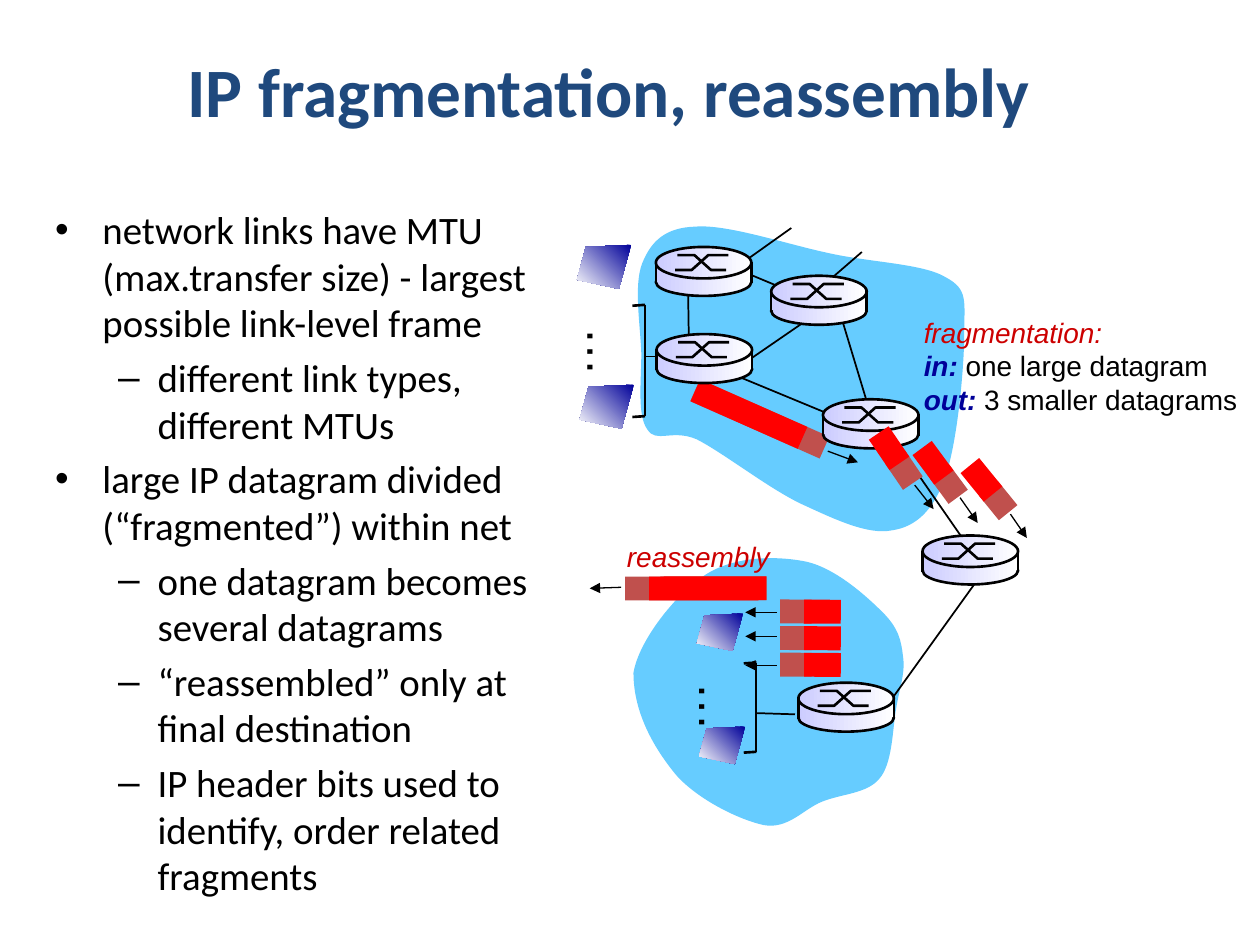
from math import cos, radians, sin

from lxml.etree import SubElement
from pptx import Presentation
from pptx.dml.color import RGBColor
from pptx.enum.shapes import MSO_CONNECTOR, MSO_SHAPE
from pptx.enum.text import MSO_ANCHOR, PP_ALIGN
from pptx.oxml.ns import qn
from pptx.util import Pt

BLACK = RGBColor(0x00, 0x00, 0x00)
WHITE = RGBColor(0xFF, 0xFF, 0xFF)
TITLE_BLUE = RGBColor(0x1F, 0x49, 0x7D)
CLOUD_BLUE = RGBColor(0x66, 0xCC, 0xFF)
NAVY = RGBColor(0x00, 0x00, 0x99)
LILAC = RGBColor(0xCC, 0xCC, 0xFF)
LABEL_RED = RGBColor(0xCC, 0x00, 0x00)
HEADER_RED = RGBColor(0xC0, 0x50, 0x4D)
PAYLOAD_RED = RGBColor(0xFF, 0x00, 0x00)

BULLETS = [
    (0, "network links have MTU (max.transfer size) - largest possible link-level frame"),
    (1, "different link types, different MTUs"),
    (0, "large IP datagram divided (“fragmented”) within net"),
    (1, "one datagram becomes several datagrams"),
    (1, "“reassembled” only at final destination"),
    (1, "IP header bits used to identify, order related fragments"),
]
# Clouds: start point, then control, control, end of each curve
UPPER_CLOUD = [
    (397.5, 129.5), (380, 130), (372, 138), (367, 150.5), (362, 163), (366, 186.5),
    (366.5, 202), (366.5, 218), (364, 237.5), (370, 245.5), (375, 253.5), (384, 245),
    (398, 251), (413, 258.5), (439, 279), (458, 288), (476.5, 296.5), (496, 306),
    (510, 303), (523.5, 301), (533.5, 291.5), (540, 273), (547, 254), (551, 210),
    (551, 191.5), (551, 172), (553.5, 165.5), (540.5, 158.5), (527.5, 150.5),
    (497, 150), (473, 144.5), (449.5, 139.5), (415.5, 128), (397.5, 129.5),
]
LOWER_CLOUD = [
    (362, 384.5), (365, 366), (386.5, 339), (403, 328.5), (420, 317.5), (444, 317.5),
    (461, 321), (478, 325), (495.5, 341), (504.5, 350), (513.5, 359), (515, 366),
    (516, 375), (517.5, 384.5), (514, 393), (512, 405.5), (510, 417), (510, 436.5),
    (502.5, 445), (495.5, 453.5), (481.5, 453.5), (470, 458), (459.5, 462),
    (450.5, 474), (436.5, 471.5), (422.5, 468.5), (399, 457), (386.5, 443),
    (374.5, 428.5), (362, 408), (362, 384.5),
]
LINKS = [
    (368, 203.8, 378, 203.8), (413.3, 150.5, 465.1, 172.1), (479.5, 177.1, 495.4, 229.7),
    (393.1, 159.1, 393.8, 205.2), (411.8, 211, 488.2, 242.6), (549.4, 306.7, 511.9, 252.7),
    (473.8, 174.2, 414, 215.3), (452.2, 130.3, 414.7, 157), (492.5, 144, 470.9, 162.7),
    (558.7, 331.2, 509, 400.3), (432, 407.5, 454.3, 408.2),
]
UPPER_ROUTERS = [(470.3, 228.2), (374.8, 141.1), (375.2, 190.9), (440.7, 157.6)]
LOWER_ROUTERS = [(527.2, 306), (456.2, 390.1)]
# Fragments: header centre and angle, then arrow ends
FRAGMENTS = [
    ((516.6, 268.7, 55.8), (522.7, 277.2, 533.5, 290.9)),
    ((542.2, 276.7, 53.6), (548.6, 284.4, 558.7, 298.8)),
    ((570.4, 286, 50.9), (577.4, 293.8, 586.8, 307.4)),
]
SMALL = dict(head_w=18, body_w=21, gap=15.2)
LARGE = dict(head_w=80.9, body_w=67, gap=6.8)


def add_run(p, text, size=16, color=BLACK, font="Arial", bold=False, italic=False):
    r = p.add_run()
    r.text = text
    r.font.name, r.font.size, r.font.color.rgb = font, Pt(size), color
    r.font.bold, r.font.italic = bold, italic


def text_box(s, x, y, w, h, wrap=False):
    sp = s.shapes.add_textbox(Pt(x), Pt(y), Pt(w), Pt(h))
    sp.text_frame.word_wrap = wrap
    return sp


def line(s, x1, y1, x2, y2, width=1.0, arrow=False):
    c = s.shapes.add_connector(MSO_CONNECTOR.STRAIGHT, Pt(x1), Pt(y1), Pt(x2), Pt(y2))
    c.line.color.rgb, c.line.width = BLACK, Pt(width)
    if arrow:
        SubElement(c.line._get_or_add_ln(), qn("a:tailEnd"), type="triangle")
    SubElement(c._element.spPr, qn("a:effectLst"))


def paint(sp, fill=None, gradient=None, angle=0, outline=None):
    sp.shadow.inherit = False
    if gradient:
        sp.fill.gradient()
        sp.fill.gradient_angle = angle
        for stop, color in zip(sp.fill.gradient_stops, gradient):
            stop.color.rgb = color
    elif fill:
        sp.fill.solid()
        sp.fill.fore_color.rgb = fill
    else:
        sp.fill.background()
    if outline:
        sp.line.color.rgb, sp.line.width = BLACK, Pt(outline)
    else:
        sp.line.fill.background()


def preset(s, kind, x, y, w, h, **style):
    sp = s.shapes.add_shape(kind, Pt(x), Pt(y), Pt(w), Pt(h))
    paint(sp, **style)
    return sp


def outline(s, points, close=True, **style):
    pts = [(Pt(x), Pt(y)) for x, y in points]
    fb = s.shapes.build_freeform(*pts[0])
    fb.add_line_segments(pts[1:], close=close)
    sp = fb.convert_to_shape()
    paint(sp, **style)
    return sp


def cloud(s, points):
    sp = outline(s, points, fill=CLOUD_BLUE)
    # Join each three segments into one Bezier curve
    segments = list(sp._element.iter(qn("a:lnTo")))
    outline_path = segments[0].getparent()
    close = outline_path.find(qn("a:close"))
    for i in range(0, len(points) - 1, 3):
        curve = SubElement(outline_path, qn("a:cubicBezTo"))
        for segment in segments[i:i + 3]:
            curve.append(segment[0])
            outline_path.remove(segment)
    outline_path.append(close)


def router(s, x, y):
    shade, w = (LILAC, WHITE), 54.6
    preset(s, MSO_SHAPE.OVAL, x, y + 12.2, w, 15.8, gradient=shade, outline=1.5)
    preset(s, MSO_SHAPE.RECTANGLE, x, y + 10.4, w, 9.4, gradient=shade)
    preset(s, MSO_SHAPE.OVAL, x, y, w, 18, gradient=shade, outline=1.5)
    low, high = y + 13.2, y + 4.7
    for xs, y1, y2 in (((11, 20.5, 30, 41.5), low, high), ((12.3, 22, 31.5, 40.2), high, low)):
        outline(s, [(x + dx, yy) for dx, yy in zip(xs, (y1, y1, y2, y2))],
                close=False, outline=1.5)
    for side in (x, x + w):
        line(s, side, y + 8.6, side, y + 20.8, 1.5)


def packet(s, cx, cy, angle, head_w, body_w, gap):
    """Header centred on cx, cy; the payload trails behind it."""
    h, a = 13.7, radians(angle)
    for w, back, color in ((head_w, 0, HEADER_RED), (body_w, gap, PAYLOAD_RED)):
        sp = preset(s, MSO_SHAPE.RECTANGLE, cx - back * cos(a) - w / 2,
                    cy - back * sin(a) - h / 2, w, h, fill=color)
        sp.rotation = angle


def hosts(s, x, top, bottom, pcs, dots, scale):
    """Bracket, two computers and the dots between them."""
    for y in (top, bottom):
        line(s, x, y + 0.5, x + 7.2, y, 1.5)
    line(s, x + 7, top, x + 7, bottom)
    for px, py in pcs:
        outline(s, [(px + dx * scale, py + dy * scale) for dx, dy in
                    ((0, 0), (-25.9, 1.2), (-31, 20), (-7, 25.2))],
                gradient=(NAVY, WHITE), angle=225)
    sp = text_box(s, *dots, 42.5, 41)
    sp.rotation = 90
    add_run(sp.text_frame.paragraphs[0], "…", size=28)


def title(s):
    sp = s.shapes.title
    sp.left, sp.top, sp.width, sp.height = Pt(41.8), Pt(14.4), Pt(612), Pt(73.4)
    sp.text_frame.vertical_anchor = MSO_ANCHOR.MIDDLE
    p = sp.text_frame.paragraphs[0]
    p.alignment = PP_ALIGN.CENTER
    add_run(p, "IP fragmentation, reassembly", 39.6, TITLE_BLUE, "Calibri", bold=True)


def bullet_list(s):
    tf = text_box(s, 24.5, 114, 300.2, 401, wrap=True).text_frame
    for i, (level, text) in enumerate(BULLETS):
        p = tf.add_paragraph() if i else tf.paragraphs[0]
        p.level, p.space_before = level, Pt(4.6 if i else 0)
        margin, indent = ((27, -27), (58.5, -22.5))[level]
        pPr = p._p.get_or_add_pPr()
        pPr.set("marL", str(Pt(margin)))
        pPr.set("indent", str(Pt(indent)))
        SubElement(pPr, qn("a:buFont"), typeface="Arial")
        SubElement(pPr, qn("a:buChar"), char="•–"[level])
        add_run(p, text, 22.2, font="Calibri")


def main():
    prs = Presentation()
    prs.slide_width, prs.slide_height = Pt(720), Pt(540)
    s = prs.slides.add_slide(prs.slide_layouts[5])
    title(s)
    bullet_list(s)

    # Networks and links
    cloud(s, UPPER_CLOUD)
    cloud(s, LOWER_CLOUD)
    for ends in LINKS:
        line(s, *ends)

    # Large datagram and its caption
    packet(s, 434.2, 239.4, 23.9, **LARGE)
    line(s, 473, 257.8, 490.3, 264.2, 0.75, arrow=True)
    tf = text_box(s, 520.8, 176.7, 194.4, 64.8).text_frame
    add_run(tf.paragraphs[0], "fragmentation:", color=LABEL_RED, italic=True)
    for key, text in (("in:", " one large datagram"), ("out:", " 3 smaller datagrams")):
        p = tf.add_paragraph()
        add_run(p, key, color=NAVY, bold=True, italic=True)
        add_run(p, text)

    # Reassembly
    for i, arrow_y in enumerate((349.9, 363.6, 380.2)):
        packet(s, 454.8, 349.4 + 15.2 * i, 180.4, **SMALL)
        line(s, 443.9, arrow_y, 425.9, arrow_y, 0.75, arrow=True)
    packet(s, 397.6, 336.2, 179.9, **LARGE)
    line(s, 355, 335.6, 337, 336.2, 0.75, arrow=True)
    tf = text_box(s, 351.2, 304.6, 96.5, 26.6).text_frame
    add_run(tf.paragraphs[0], "reassembly", color=LABEL_RED, italic=True)

    # Hosts, routers and fragments
    hosts(s, 361.4, 174.2, 237.8, [(360.7, 139.9), (362.2, 219.8)], (325.4, 180.7), 1)
    for spot in UPPER_ROUTERS:
        router(s, *spot)
    for place, arrow in FRAGMENTS:
        packet(s, *place, **SMALL)
        line(s, *arrow, 0.75, arrow=True)
    for spot in LOWER_ROUTERS:
        router(s, *spot)
    hosts(s, 425, 378.6, 429.6, [(424.6, 350.6), (425.8, 415.2)], (389.3, 383.8), 0.85)

    prs.save("out.pptx")


if __name__ == "__main__":
    main()
